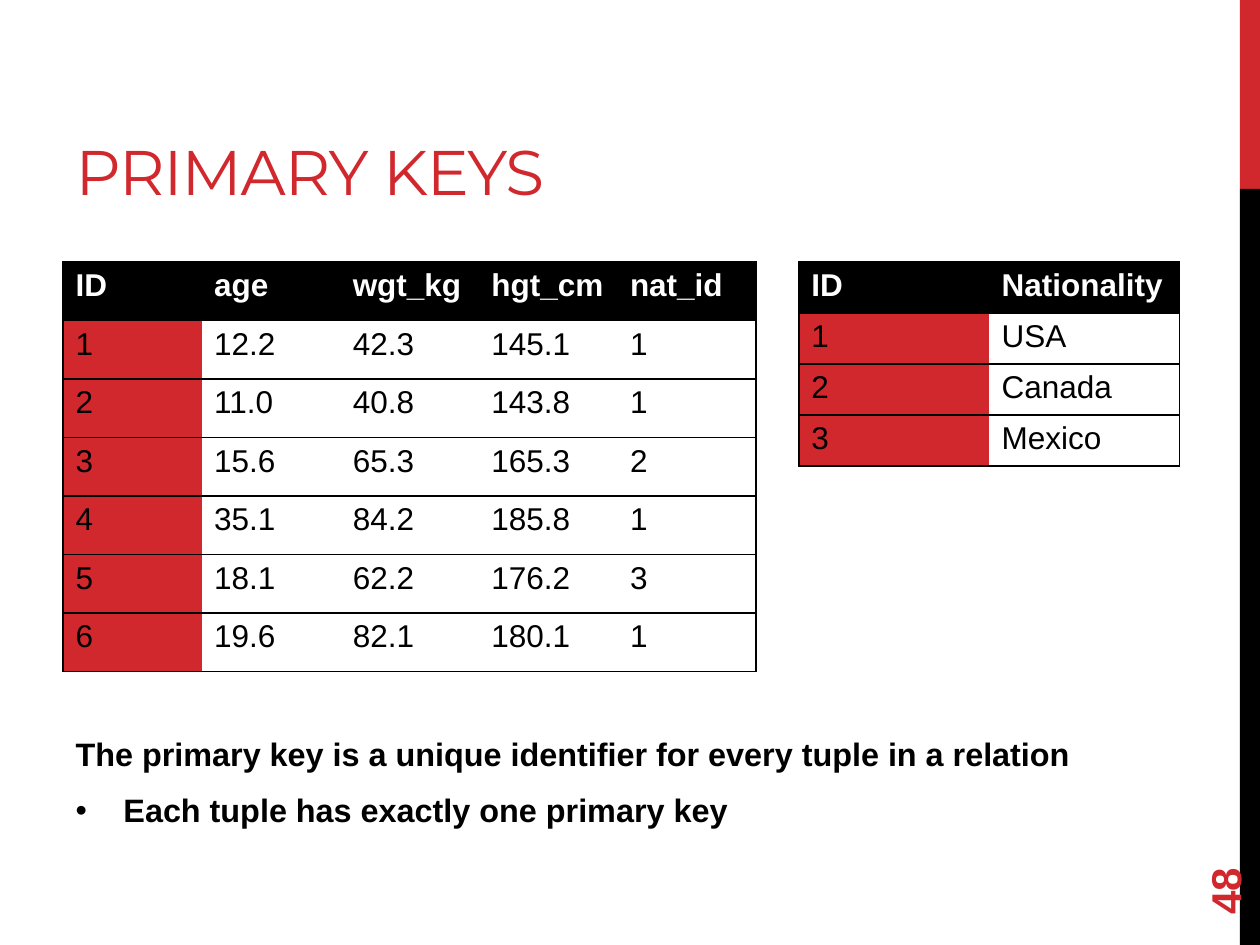
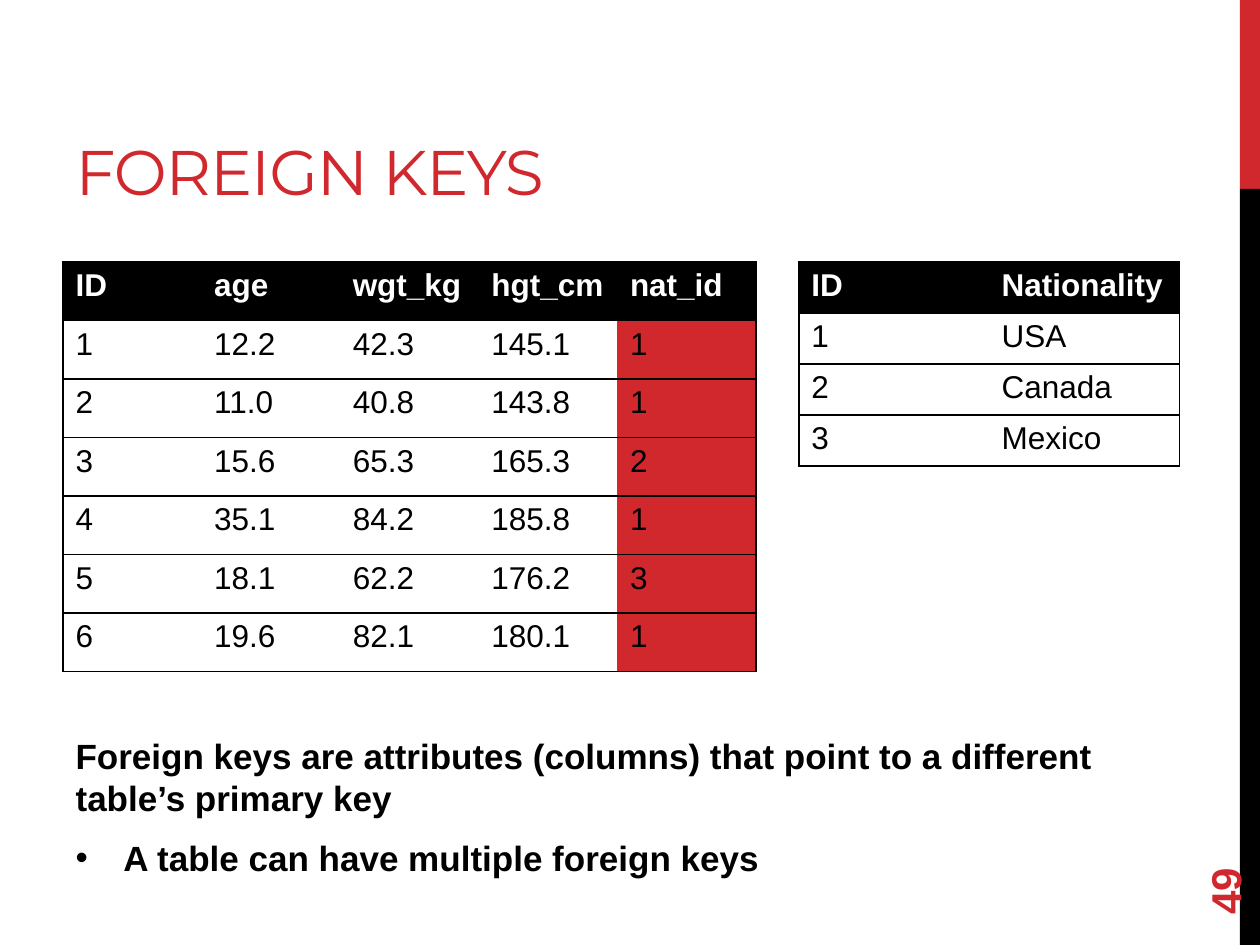
import pptx
import pptx.dml.color
import pptx.enum.shapes
import pptx.enum.text
import pptx.oxml.ns
import pptx.util
import lxml.etree

COLORS = {"accent": "D1282E", "ink": "000000", "paper": "FFFFFF"}
GRID_COLUMNS, GRID_ROWS = 100, 75
PEOPLE = [
    ["ID", "age", "wgt_kg", "hgt_cm", "nat_id"],
    ["1", "12.2", "42.3", "145.1", "1"],
    ["2", "11.0", "40.8", "143.8", "1"],
    ["3", "15.6", "65.3", "165.3", "2"],
    ["4", "35.1", "84.2", "185.8", "1"],
    ["5", "18.1", "62.2", "176.2", "3"],
    ["6", "19.6", "82.1", "180.1", "1"],
]
NATIONS = [["ID", "Nationality"], ["1", "USA"], ["2", "Canada"], ["3", "Mexico"]]
LESSONS = [
    {
        "title": "PRIMARY KEYS",
        "number": "48",
        "people_key": 0,
        "nations_key": 0,
        "size": 18.5,
        "body_rows": 9.5,
        "statement": "The primary key is a unique identifier for every tuple in a relation",
        "detail": "Each tuple has exactly one primary key",
    },
    {
        "title": "FOREIGN KEYS",
        "number": "49",
        "people_key": 4,
        "nations_key": None,
        "size": 20,
        "body_rows": 13.4,
        "statement": "Foreign keys are attributes (columns) that point to a different "
                     "table’s primary key",
        "detail": "A table can have multiple foreign keys",
    },
]


class Deck:
    """Hold the shared style and the slide being built."""

    def __init__(self, presentation):
        self.presentation = presentation
        self.slide = None

    def area(self, left, top, width, height):
        column = self.presentation.slide_width / GRID_COLUMNS
        row = self.presentation.slide_height / GRID_ROWS
        return [round(value) for value in
                (left * column, top * row, width * column, height * row)]

    def color(self, name):
        return pptx.dml.color.RGBColor.from_string(COLORS[name])

    def start_slide(self):
        layout = self.presentation.slide_layouts[1]
        self.slide = self.presentation.slides.add_slide(layout)
        self.band("accent", 0, 15)
        self.band("ink", 15, 60)

    def band(self, color, top, height):
        shape = self.slide.shapes.add_shape(
            pptx.enum.shapes.MSO_SHAPE.RECTANGLE, *self.area(98.4, top, 1.6, height))
        shape.shadow.inherit = False
        shape.fill.solid()
        shape.fill.fore_color.rgb = self.color(color)
        shape.line.fill.background()

    def place(self, shape, *area):
        shape.left, shape.top, shape.width, shape.height = self.area(*area)
        frame = shape.text_frame
        frame.word_wrap = True
        frame.auto_size = pptx.enum.text.MSO_AUTO_SIZE.NONE
        return frame

    def add_text(self, paragraph, text, size, color="ink", bold=False, font="Arial"):
        paragraph.alignment = pptx.enum.text.PP_ALIGN.LEFT
        run = paragraph.add_run()
        run.text = text
        run.font.name = font
        run.font.size = pptx.util.Pt(size)
        run.font.bold = bold
        run.font.color.rgb = self.color(color)
        return run

    def title(self, text):
        frame = self.place(self.slide.shapes.title, 5, 1.7, 63.3, 15)
        frame.vertical_anchor = pptx.enum.text.MSO_ANCHOR.BOTTOM
        frame.margin_bottom = pptx.util.Inches(0.02)
        run = self.add_text(frame.paragraphs[0], text, 36, "accent", font="Montserrat")
        run.font._element.set("spc", "-60")

    def body(self, statement, detail, size, rows):
        frame = self.place(self.slide.placeholders[1], 5, 57.5, 83.3, rows)
        frame.margin_top = pptx.util.Inches(0.08)
        first, second = frame.paragraphs[0], frame.add_paragraph()
        self.bullet(first, None)
        self.bullet(second, "•")
        first.space_before = pptx.util.Pt(0)
        second.space_before = pptx.util.Pt(size * 0.2)
        for paragraph, text in ((first, statement), (second, detail)):
            paragraph.space_after = pptx.util.Pt(6)
            self.add_text(paragraph, text, size, bold=True)

    def bullet(self, paragraph, mark):
        properties = paragraph._p.get_or_add_pPr()
        indent = pptx.util.Inches(0.38) if mark else 0
        properties.set("marL", str(indent))
        properties.set("indent", str(-indent))
        name = pptx.oxml.ns.qn("a:buChar" if mark else "a:buNone")
        element = lxml.etree.SubElement(properties, name)
        if mark:
            element.set("char", mark)

    def number(self, text):
        area = (90, 64.4, 14.4, 4)
        shape = self.slide.shapes.add_textbox(*self.area(*area))
        shape.rotation = 270
        frame = self.place(shape, *area)
        frame.vertical_anchor = pptx.enum.text.MSO_ANCHOR.MIDDLE
        self.add_text(frame.paragraphs[0], text, 24, "accent", bold=True)

    def border(self, cell, side, visible):
        properties = cell._tc.get_or_add_tcPr()
        line = lxml.etree.SubElement(properties, pptx.oxml.ns.qn(f"a:ln{side}"))
        line.set("w", str(pptx.util.Pt(1)))
        fill = lxml.etree.SubElement(
            line, pptx.oxml.ns.qn("a:solidFill" if visible else "a:noFill"))
        if visible:
            lxml.etree.SubElement(
                fill, pptx.oxml.ns.qn("a:srgbClr")).set("val", COLORS["ink"])

    def table(self, records, key_column, *area):
        last = len(records[0]) - 1
        table = self.slide.shapes.add_table(
            len(records), last + 1, *self.area(*area)).table
        table.horz_banding = False
        for row, record in enumerate(records):
            for column, text in enumerate(record):
                cell = table.cell(row, column)
                header = row == 0
                visible = {"L": column == 0, "R": column == last, "T": True, "B": True}
                for side, shown in visible.items():
                    self.border(cell, side, shown)
                fill = "ink" if header else "accent" if column == key_column else "paper"
                cell.fill.solid()
                cell.fill.fore_color.rgb = self.color(fill)
                self.add_text(cell.text_frame.paragraphs[0], text, 18,
                              "paper" if header else "ink", bold=header)


def main():
    presentation = pptx.Presentation()
    presentation.slide_width = pptx.util.Inches(10)
    presentation.slide_height = pptx.util.Inches(7.5)
    deck = Deck(presentation)
    for lesson in LESSONS:
        deck.start_slide()
        deck.title(lesson["title"])
        deck.body(lesson["statement"], lesson["detail"],
                  lesson["size"], lesson["body_rows"])
        deck.number(lesson["number"])
        deck.table(PEOPLE, lesson["people_key"], 5, 20.8, 55, 32.5)
        deck.table(NATIONS, lesson["nations_key"], 63.4, 20.8, 30.2, 16.2)
    presentation.save("out.pptx")


if __name__ == "__main__":
    main()
